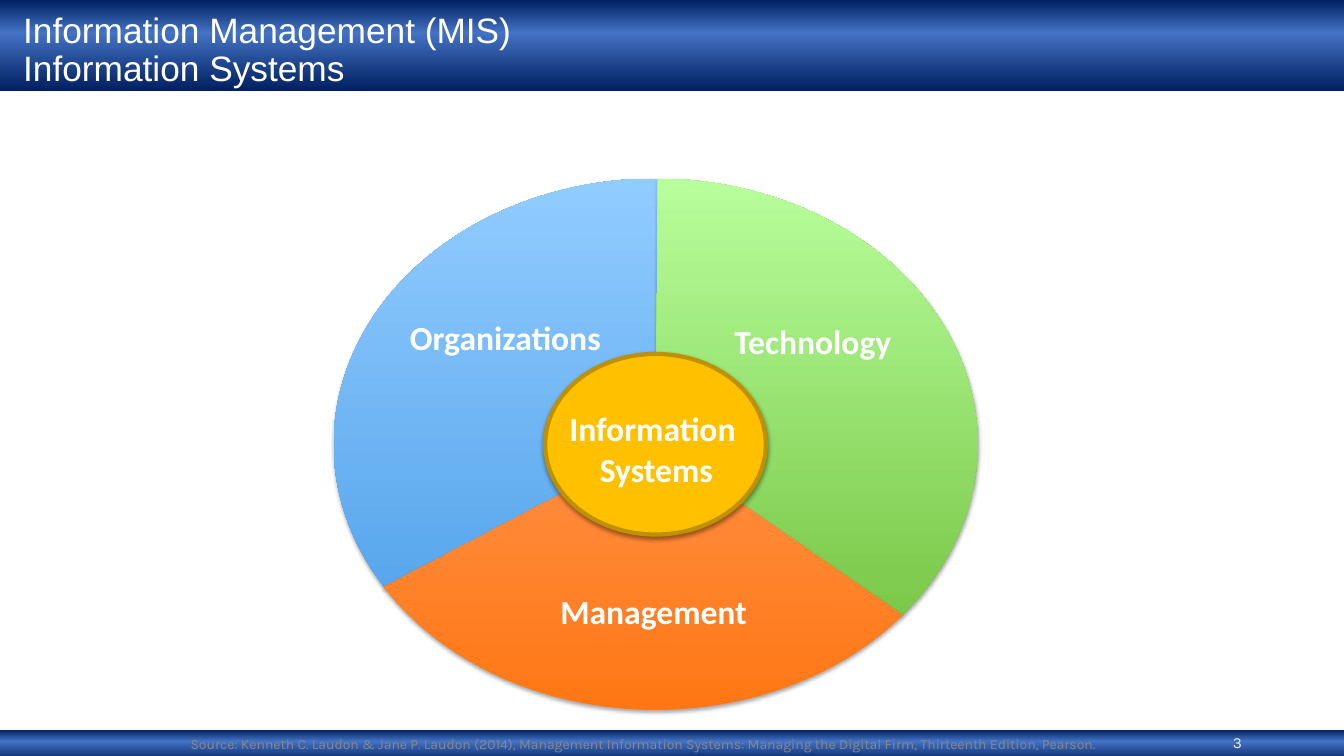
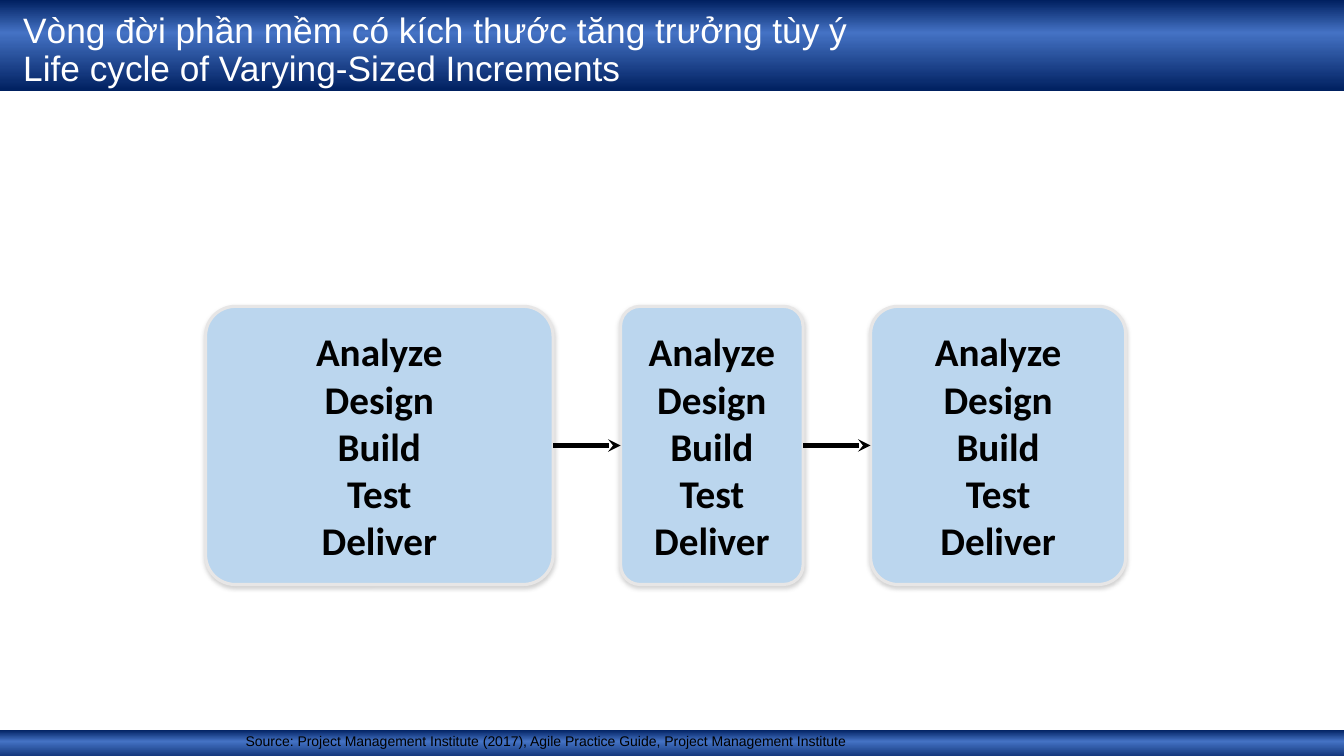
"""Build two slides on information systems and software life cycles."""
from dataclasses import dataclass

import lxml.etree
import pptx
import pptx.dml.color
import pptx.enum.shapes
import pptx.enum.text
import pptx.oxml
import pptx.oxml.ns
import pptx.presentation
import pptx.shapes.autoshape
import pptx.shapes.base
import pptx.slide
import pptx.text.text
import pptx.util

Cm = pptx.util.Cm
Pt = pptx.util.Pt
RGBColor = pptx.dml.color.RGBColor
SHAPE = pptx.enum.shapes.MSO_SHAPE
ALIGN = pptx.enum.text.PP_ALIGN
ANCHOR = pptx.enum.text.MSO_ANCHOR
qn = pptx.oxml.ns.qn

NAVY = RGBColor(0x00, 0x20, 0x60)
BLUE = RGBColor(0x44, 0x72, 0xC4)
WHITE = RGBColor(0xFF, 0xFF, 0xFF)
BLACK = RGBColor(0x00, 0x00, 0x00)
OFF_WHITE = RGBColor(0xF2, 0xF2, 0xF2)
GRAY = RGBColor(0x88, 0x88, 0x88)
SHADOW_GRAY = RGBColor(0x80, 0x80, 0x80)
BORDER_GRAY = RGBColor(0xE7, 0xE6, 0xE6)
PALE_BLUE = RGBColor(0xBB, 0xD6, 0xEE)
SKY_DARK = RGBColor(0x48, 0x9B, 0xE7)
SKY_LIGHT = RGBColor(0x91, 0xCC, 0xFF)
GREEN_DARK = RGBColor(0x6D, 0xBC, 0x37)
GREEN_LIGHT = RGBColor(0xB8, 0xFE, 0x9C)
ORANGE_DARK = RGBColor(0xFF, 0x77, 0x14)
ORANGE_LIGHT = RGBColor(0xFF, 0xA7, 0x73)
GOLD = RGBColor(0xFF, 0xC0, 0x00)
GOLD_DARK = RGBColor(0xBF, 0x90, 0x00)

SLIDE_W, SLIDE_H = 33.87, 19.05
STEPS = ["Analyze", "Design", "Build", "Test", "Deliver"]


@dataclass(frozen=True)
class Box:
    """Rectangle in centimetres."""

    left: float
    top: float
    width: float
    height: float

    def lengths(self) -> tuple[Cm, Cm, Cm, Cm]:
        """Return the four lengths for a shape call."""
        return Cm(self.left), Cm(self.top), Cm(self.width), Cm(self.height)


@dataclass(frozen=True)
class Style:
    """Look of a piece of text."""

    font: str
    size: float
    color: RGBColor
    bold: bool = False
    align: ALIGN = ALIGN.LEFT
    spacing: float = 1.0


@dataclass(frozen=True)
class Sector:
    """Slice of the wheel, with angles in degrees."""

    start: float
    end: float
    dark: RGBColor
    light: RGBColor


@dataclass(frozen=True)
class Label:
    """Text on the wheel and its place."""

    text: str
    box: Box


TITLE = Style("Arial", 25.2, WHITE, spacing=0.9)
WHEEL_LABEL = Style("Calibri", 24, WHITE, bold=True)
HUB_LABEL = Style("Calibri", 24, WHITE, bold=True, align=ALIGN.CENTER)
STEP = Style("Calibri", 28, BLACK, bold=True, align=ALIGN.CENTER)
PAGE_NUMBER = Style("Karla", 11, OFF_WHITE, align=ALIGN.RIGHT)
BOOK_SOURCE = Style("Karla", 10, GRAY, align=ALIGN.CENTER)
GUIDE_SOURCE = Style("Arial", 10, BLACK)

TITLE_BOX = Box(0.33, 0.3, 29.26, 1.98)
BANDS = [Box(0, 0, SLIDE_W, 2.29), Box(0, 18.39, SLIDE_W, 0.81)]
WHEEL = Box(8.41, 4.5, 16.23, 13.39)
HUB = Box(13.74, 8.92, 5.56, 4.55)
SECTORS = [
    Sector(152, 270.8, SKY_DARK, SKY_LIGHT),
    Sector(270.5, 35, GREEN_DARK, GREEN_LIGHT),
    Sector(34.7, 152.3, ORANGE_DARK, ORANGE_LIGHT),
]
LABELS = [
    Label("Organizations", Box(10.08, 7.85, 5.38, 1.27)),
    Label("Technology", Box(18.26, 7.95, 4.5, 1.27)),
    Label("Management", Box(13.87, 14.76, 5.26, 1.27)),
]


def set_text(tf: pptx.text.text.TextFrame, text: str, style: Style) -> None:
    """Write text and format every run."""
    tf.text = text
    tf.word_wrap = True
    for p in tf.paragraphs:
        p.alignment = style.align
        p.line_spacing = style.spacing
        for r in p.runs:
            r.font.name = style.font
            r.font.size = Pt(style.size)
            r.font.bold = style.bold
            r.font.color.rgb = style.color


def add_text(s: pptx.slide.Slide, box: Box, text: str, style: Style,
             anchor: ANCHOR = ANCHOR.TOP) -> None:
    """Add a text box."""
    tf = s.shapes.add_textbox(*box.lengths()).text_frame
    set_text(tf, text, style)
    tf.vertical_anchor = anchor


def add_shape(s: pptx.slide.Slide, kind: SHAPE, box: Box) -> pptx.shapes.autoshape.Shape:
    """Add a preset shape without line or shadow."""
    sp = s.shapes.add_shape(kind, *box.lengths())
    sp.shadow.inherit = False
    sp.line.fill.background()
    return sp


def set_fill_and_line(sp: pptx.shapes.autoshape.Shape, fill: RGBColor,
                      line: RGBColor, width: float) -> None:
    """Give a shape a solid fill and an outline."""
    sp.fill.solid()
    sp.fill.fore_color.rgb = fill
    sp.line.color.rgb = line
    sp.line.width = Pt(width)


def set_gradient(sp: pptx.shapes.autoshape.Shape, angle: int,
                 stops: list[tuple[int, RGBColor]]) -> None:
    """Fill a shape with a linear gradient whose stops are in percent."""
    items = "".join(
        f'<a:gs pos="{pos * 1000}"><a:srgbClr val="{color}"/></a:gs>' for pos, color in stops)
    grad = pptx.oxml.parse_xml(
        f'<a:gradFill {pptx.oxml.ns.nsdecls("a")} rotWithShape="1"><a:gsLst>{items}</a:gsLst>'
        f'<a:lin ang="{angle * 60000}" scaled="0"/></a:gradFill>')
    sp.element.spPr.find(qn("a:prstGeom")).addnext(grad)


def add_shadow(sp: pptx.shapes.autoshape.Shape, color: RGBColor,
               opacity: int, distance: float) -> None:
    """Cast a soft shadow straight down."""
    shadow = pptx.oxml.parse_xml(
        f'<a:outerShdw {pptx.oxml.ns.nsdecls("a")} blurRad="{Pt(3.1)}" dist="{Pt(distance)}"'
        f' dir="5400000" rotWithShape="0"><a:srgbClr val="{color}">'
        f'<a:alpha val="{opacity * 1000}"/></a:srgbClr></a:outerShdw>')
    sp.element.spPr.find(qn("a:effectLst")).append(shadow)


def add_arrow(s: pptx.slide.Slide, start: pptx.shapes.base.BaseShape,
              end: pptx.shapes.base.BaseShape) -> None:
    """Join the right side of one box to the left side of the next."""
    c = s.shapes.add_connector(pptx.enum.shapes.MSO_CONNECTOR.STRAIGHT, 0, 0, 0, 0)
    c.begin_connect(start, 3)
    c.end_connect(end, 1)
    c.line.color.rgb = BLACK
    c.line.width = Pt(3)
    spPr = c.element.spPr
    lxml.etree.SubElement(spPr.find(qn("a:ln")), qn("a:tailEnd"), type="stealth")
    lxml.etree.SubElement(spPr, qn("a:effectLst"))


def add_master_bands(prs: pptx.presentation.Presentation, s: pptx.slide.Slide) -> None:
    """Put the top and bottom bands on the slide master."""
    for i, box in enumerate(BANDS):
        sp = add_shape(s, SHAPE.RECTANGLE, box)
        set_gradient(sp, 90, [(0, NAVY), (36, BLUE), (100, NAVY)])
        sp.name = f"Band {i + 1}"
        sp.element.nvSpPr.cNvPr.id = 101 + i
        prs.slide_master.shapes.element.insert(2 + i, sp.element)


def add_slide(prs: pptx.presentation.Presentation, title: str) -> pptx.slide.Slide:
    """Add a slide with a formatted title."""
    s = prs.slides.add_slide(prs.slide_layouts[5])
    sp = s.shapes.title
    sp.left, sp.top, sp.width, sp.height = TITLE_BOX.lengths()
    set_text(sp.text_frame, title, TITLE)
    sp.text_frame.auto_size = pptx.enum.text.MSO_AUTO_SIZE.NONE
    sp.text_frame.vertical_anchor = ANCHOR.MIDDLE
    return s


def draw_wheel(s: pptx.slide.Slide) -> None:
    """Draw the three sectors, their labels and the hub."""
    for sector in SECTORS:
        sp = add_shape(s, SHAPE.PIE, WHEEL)
        for i, angle in enumerate((sector.start, sector.end)):
            sp.adjustments[i] = angle * 0.6
        set_gradient(sp, 270, [(0, sector.dark), (100, sector.light)])
        add_shadow(sp, BLACK, 35, 1.8)
    for label in LABELS:
        add_text(s, label.box, label.text, WHEEL_LABEL)
    hub = add_shape(s, SHAPE.OVAL, HUB)
    set_fill_and_line(hub, GOLD, GOLD_DARK, 3)
    add_shadow(hub, BLACK, 38, 1.6)
    add_text(s, Box(14, 10.16, 5.08, 2.31), "Information \vSystems", HUB_LABEL)


def draw_increments(s: pptx.slide.Slide) -> None:
    """Draw the row of increments and the arrows between them."""
    left, gap = 5.18, 1.7
    increments = []
    for width in (8.76, 4.6, 6.43):
        sp = add_shape(s, SHAPE.ROUNDED_RECTANGLE, Box(left, 7.72, width, 7.01))
        sp.adjustments[0] = 0.107
        set_fill_and_line(sp, PALE_BLUE, BORDER_GRAY, 2.25)
        add_shadow(sp, SHADOW_GRAY, 35, 1.8)
        tf = sp.text_frame
        tf.margin_left = tf.margin_top = tf.margin_right = tf.margin_bottom = 0
        tf.vertical_anchor = ANCHOR.MIDDLE
        set_text(tf, "\n".join(STEPS), STEP)
        increments.append(sp)
        left += width + gap
    for start, end in zip(increments, increments[1:]):
        add_arrow(s, start, end)


def main() -> None:
    """Build and save the presentation."""
    prs = pptx.Presentation()
    prs.slide_width, prs.slide_height = Cm(SLIDE_W), Cm(SLIDE_H)

    s = add_slide(prs, "Information Management (MIS)\vInformation Systems")
    add_master_bands(prs, s)
    add_text(s, Box(23.93, 18.19, 7.62, 1.02), "3", PAGE_NUMBER, ANCHOR.MIDDLE)
    add_text(s, Box(4.45, 18.42, 23.5, 0.64),
             "Source: Kenneth C. Laudon & Jane P. Laudon (2014), Management Information Systems: "
             "Managing the Digital Firm, Thirteenth Edition, Pearson.",
             BOOK_SOURCE, ANCHOR.MIDDLE)
    draw_wheel(s)

    s = add_slide(prs, "Vòng đời phần mềm có kích thước tăng trưởng tùy ý\v"
                       "Life cycle of Varying-Sized Increments")
    add_text(s, Box(5.94, 18.34, 21.79, 0.71),
             "Source: Project Management Institute (2017), Agile Practice Guide, "
             "Project Management Institute", GUIDE_SOURCE)
    draw_increments(s)

    prs.save("out.pptx")


if __name__ == "__main__":
    main()
